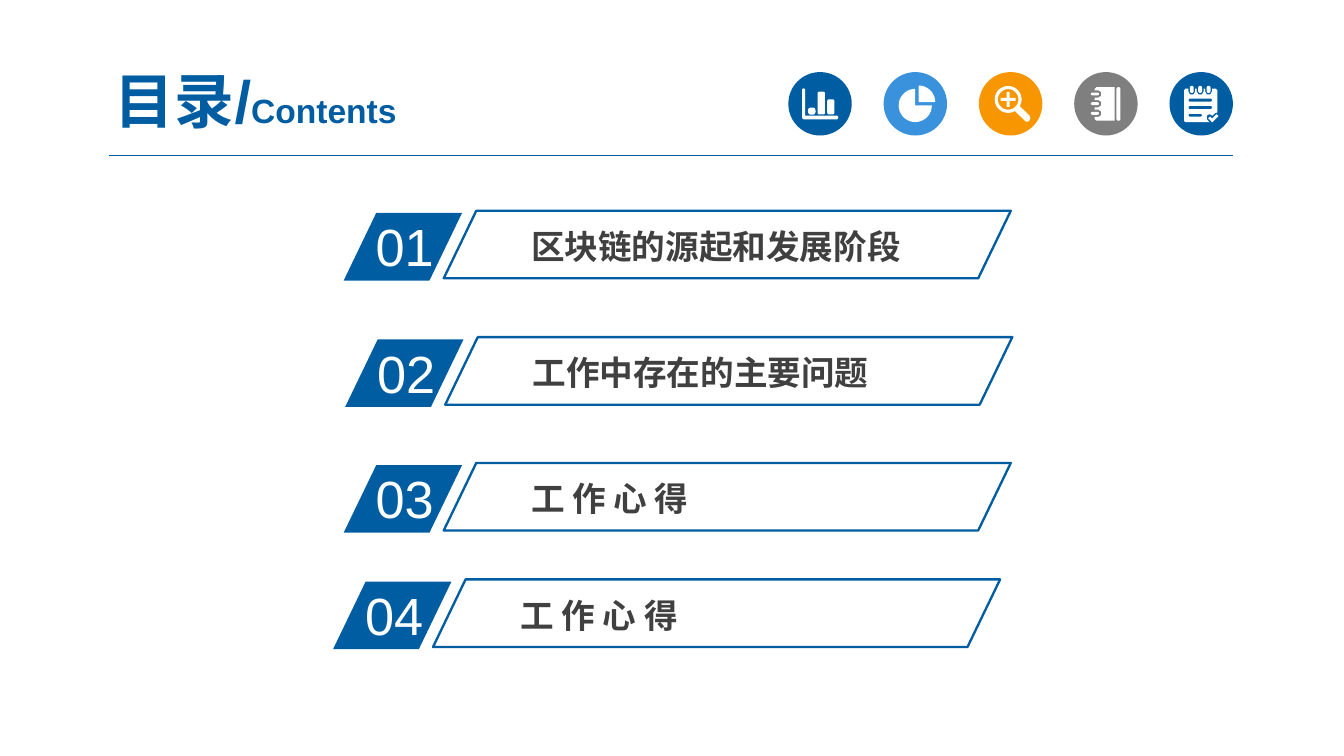
"""Build the contents slide with four numbered bars and five round icons."""
import math

from lxml import etree
from pptx import Presentation, util as u
from pptx.dml.color import RGBColor
from pptx.enum import shapes, text

BLUE, SKY, GOLD, GRAY = "005DA2", "3992DB", "F79600", "7F7F7F"
WHITE, DARK, RULE = "FFFFFF", "404040", "005B9E"
KIND = shapes.MSO_SHAPE
SPACE = "http://schemas.openxmlformats.org/drawingml/2006/main"


def color(code):
    return RGBColor.from_string(code)


class Deck:
    face = "Arial"

    def __init__(self, wide, high):
        self.show = Presentation()
        self.show.slide_width, self.show.slide_height = u.Pt(wide), u.Pt(high)
        self.slide = self.show.slides.add_slide(self.show.slide_layouts[6])

    def paint(self, item, fill=None, edge=None, width=1.25):
        item.shadow.inherit = False
        if fill:
            item.fill.solid()
            item.fill.fore_color.rgb = color(fill)
        else:
            item.fill.background()
        if edge:
            item.line.color.rgb = color(edge)
            item.line.width = u.Pt(width)
        else:
            item.line.fill.background()

    def shape(self, kind, box, fill=None, edge=None, adjust=None):
        item = self.slide.shapes.add_shape(kind, *map(u.Pt, box))
        if adjust is not None:
            item.adjustments[0] = adjust
        self.paint(item, fill, edge)

    def free(self, x, y, loops, fill):
        path = None
        for loop in loops:
            spots = [(u.Pt(x + left), u.Pt(y + top)) for left, top in loop]
            if path is None:
                path = self.slide.shapes.build_freeform(*spots[0], scale=1.0)
            else:
                path.move_to(*spots[0])
            path.add_line_segments(spots[1:], close=True)
        self.paint(path.convert_to_shape(), fill)

    def line(self, ends, tint, width):
        item = self.slide.shapes.add_connector(
            shapes.MSO_CONNECTOR.STRAIGHT, *map(u.Pt, ends))
        item.line.color.rgb = color(tint)
        item.line.width = u.Pt(width)
        etree.SubElement(item._element.spPr, f"{{{SPACE}}}effectLst")

    def text(self, box, runs, tint, bold=False, inset=(7.2, 3.6), title=False):
        frame = self.slide.shapes.add_textbox(*map(u.Pt, box)).text_frame
        frame.word_wrap = True
        frame.margin_left = frame.margin_right = u.Pt(inset[0])
        frame.margin_top = frame.margin_bottom = u.Pt(inset[1])
        part = frame.paragraphs[0]
        if title:
            frame.vertical_anchor = text.MSO_ANCHOR.MIDDLE
            part.alignment = text.PP_ALIGN.CENTER
        for words, size in runs:
            run = part.add_run()
            run.text = words
            run.font.name, run.font.size = self.face, u.Pt(size)
            run.font.bold = bold
            run.font.color.rgb = color(tint)

    def row(self, x, y, mark, label):
        self.shape(KIND.PARALLELOGRAM, (x - 53.6, y + 1.2, 63.4, 36.2),
                   BLUE, adjust=0.482)
        self.text((x - 43.5, y - 1.5, 60.5, 41), [(mark, 28)], WHITE)
        self.text((x + 41.8, y + 5.2, 222.5, 27.4), [(label, 18)], DARK, True,
                  (5, 2.9))
        self.shape(KIND.PARALLELOGRAM, (x, y, 303.8, 36.2), edge=BLUE,
                   adjust=0.482)


def arc(x, y, size, start, end, step=10):
    turns = [math.radians(a) for a in range(start, end + 1, step)]
    return [(x + size * math.cos(a), y + size * math.sin(a)) for a in turns]


def pill(left, top, wide, high, bend=1):
    bend = min(bend, wide / 2, high / 2)
    near, far = left + bend, left + wide - bend
    up, down = top + bend, top + high - bend
    ends = [(far, down), (near, down), (near, up), (far, up)]
    return [spot for i, (x, y) in enumerate(ends)
            for spot in arc(x, y, bend, 90 * i, 90 * i + 90, 15)]


def graph():
    frame = [(7.4, 9.2), (8.2, 8.7), (9.1, 9.2), (9.1, 23.3), (26.2, 23.3),
             (26.9, 24.3), (26.2, 25.4), (8.2, 25.4), (7.4, 24.6)]
    return [frame, pill(10.6, 19, 4, 3.8, 1.5), pill(15.7, 10.5, 4, 12.2),
            pill(20.9, 14.6, 3.8, 8.1)]


def pie():
    return [[(17, 17.9)] + arc(17, 17.9, 8.9, 0, 270),
            [(18.8, 16.1)] + arc(18.8, 16.1, 8.9, 270, 360)]


def zoom():
    x, y, size, half = 15.7, 14.7, 4, 0.8
    lens = arc(x, y, 7.2, 60, 390)
    grip = [(27.2, 23.4), (27.6, 25), (26.8, 26.5), (25.2, 26.6)]
    cross = [(-size, -half), (-half, -half), (-half, -size), (half, -size),
             (half, -half), (size, -half), (size, half), (half, half),
             (half, size), (-half, size), (-half, half), (-size, half)]
    return [lens + grip, arc(x, y, 5.5, 0, 350),
            [(x + a, y + b) for a, b in cross]]


def book():
    cover = [(12, 8.1), (21.7, 8.1), (21.7, 26.1), (12, 26.1), (11, 25.2)]
    rings = []
    for top in (20.2, 15, 9.8):
        cover += [(11, top + 3.9), (12.9, top + 3.9), (14.4, top + 3),
                  (14.4, top + 0.9), (12.9, top), (11, top)]
        rings.append(pill(9, top + 1.2, 4.3, 1.5))
    return [cover + [(11, 9)], pill(22.7, 8.1, 2.1, 18)] + rings


def pad():
    sheet, tabs = [(7.8, 9.8), (8.6, 8.9)], []
    for left in (10.1, 14.6, 19.1):
        sheet += [(left, 8.9), (left, 10.3), (left + 0.9, 12),
                  (left + 2.8, 12), (left + 3.7, 10.3), (left + 3.7, 8.9)]
        tabs.append(pill(left + 0.8, 7.4, 2.1, 3.8, 1.05))
    sheet += [(24.8, 8.9), (25.6, 9.8), (25.6, 21.7), (24.5, 22), (23, 23.4),
              (21.4, 22.5), (20, 23.4), (20, 25.3), (21.5, 26.9),
              (8.5, 26.9), (7.8, 26.2)]
    lines = [pill(10.2, 14.2, 12.6, 1.7), pill(10.2, 18.2, 12.6, 1.7),
             pill(10.2, 22.4, 7.2, 1.5)]
    tick = [(20.7, 24.8), (21.8, 23.8), (22.9, 24.9),
            (25.2, 22.6), (26.3, 23.6), (22.9, 27)]
    return [sheet, tick] + lines + tabs


def main():
    deck = Deck(720, 405)
    deck.text((48.2, 33.8, 177.8, 38.9), [("目录/", 32), ("Contents", 18)],
              BLUE, True, title=True)
    deck.line((58.3, 83.4, 660.5, 83.4), RULE, 0.75)
    icons = [(BLUE, graph), (SKY, pie), (GOLD, zoom), (GRAY, book), (BLUE, pad)]
    for i, (fill, draw) in enumerate(icons):
        x, y = 422.3 + 51.05 * i, 38.6
        deck.shape(KIND.OVAL, (x, y, 34, 34), fill)
        deck.free(x, y, draw(), WHITE)
    rows = [(237.7, 112.9, "区块链的源起和发展阶段"),
            (238.5, 180.6, "工作中存在的主要问题"),
            (237.7, 248, "工 作 心 得"),
            (232, 310.4, "工 作 心 得")]
    for i, (x, y, label) in enumerate(rows, 1):
        deck.row(x, y, f"{i:02}", label)
    deck.show.save("out.pptx")


if __name__ == "__main__":
    main()
